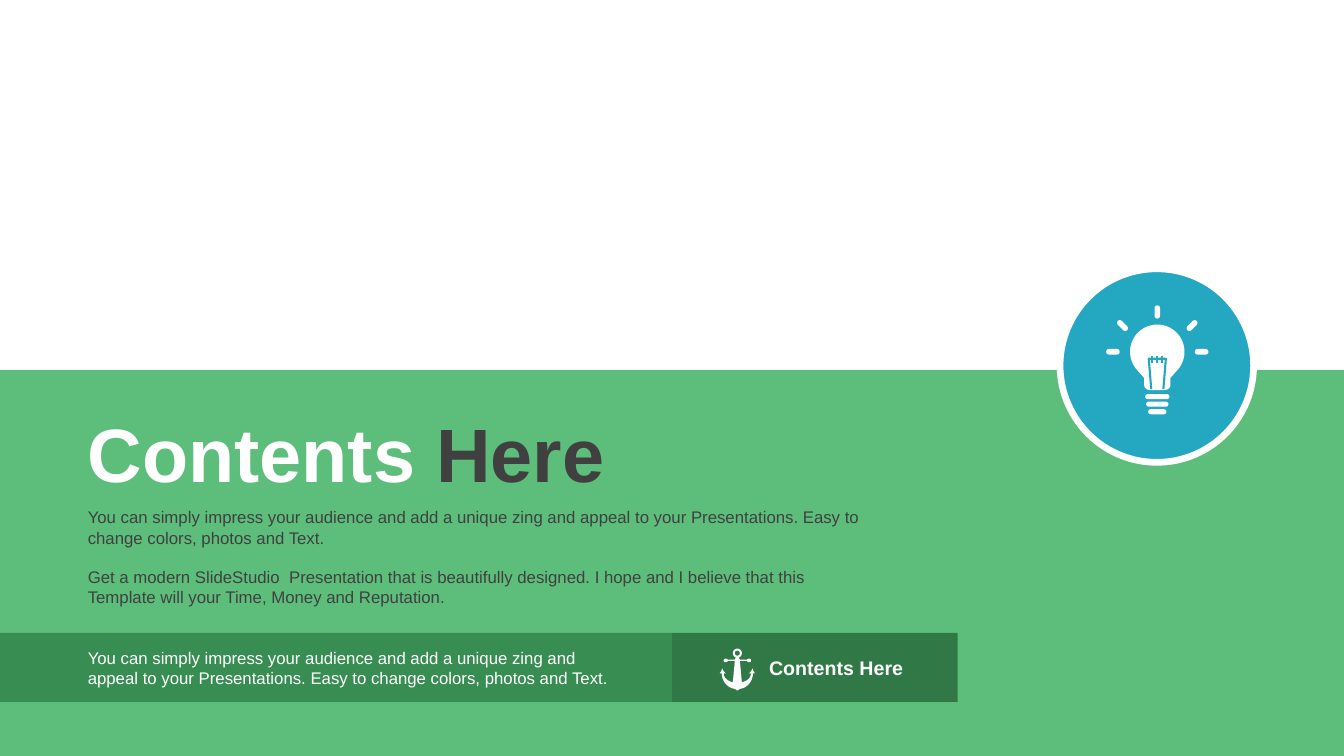
from dataclasses import dataclass
from math import cos, radians, sin

from lxml.etree import _Element as Element
from pptx import Presentation
from pptx.dml.color import RGBColor
from pptx.enum.shapes import MSO_SHAPE as Preset
from pptx.enum.text import MSO_ANCHOR as Anchor, MSO_AUTO_SIZE as AutoSize, PP_ALIGN as Align
from pptx.shapes.autoshape import Shape
from pptx.slide import Slide
from pptx.util import Emu, Pt

# Slide grid: 160 columns by 90 rows of square cells; icons use a finer unit
CELL = 76200
COLUMNS, ROWS = 160, 90
ICON_UNIT = CELL * 0.12
FINENESS = 100  # steps per icon unit, so that curves stay smooth
Point = tuple[float, float]


@dataclass(frozen=True)
class Theme:
    font: str = "Arial"
    white: str = "FFFFFF"
    ink: str = "404040"
    green: str = "5CBE7A"
    mid_green: str = "388D52"
    dark_green: str = "307947"
    blue: str = "24A8C2"
    title: float = 54
    label: float = 14
    body: float = 12
    paragraph_gap: float = 14
    badge_ring: float = 4.75
    filament: float = 1.5


THEME = Theme()


@dataclass(frozen=True)
class Box:
    left: float
    top: float
    width: float
    height: float

    def emu(self) -> tuple[Emu, ...]:
        return tuple(Emu(round(n * CELL)) for n in (self.left, self.top, self.width, self.height))


@dataclass(frozen=True)
class Panel:
    box: Box
    color: str
    preset: Preset = Preset.RECTANGLE
    ring: float = 0


@dataclass(frozen=True)
class Run:
    text: str
    color: str


@dataclass(frozen=True)
class Copy:
    box: Box
    paragraphs: list[list[Run]]
    size: float
    bold: bool = False


@dataclass(frozen=True)
class Pill:
    """A round-ended bar centred at x, y; a circle when no longer than it is thick."""
    x: float
    y: float
    length: float
    thickness: float
    angle: float = 0

    def outline(self) -> list[Point]:
        radius, reach = self.thickness / 2, (self.length - self.thickness) / 2
        points = []
        for side, start in ((1, -90), (-1, 90)):
            center_x = self.x + side * reach * cos(radians(self.angle))
            center_y = self.y + side * reach * sin(radians(self.angle))
            for step in range(0, 181, 15):
                turn = radians(self.angle + start + step)
                points.append((center_x + radius * cos(turn), center_y + radius * sin(turn)))
        return points


def paint(shape: Shape, color: str) -> None:
    shape.shadow.inherit = False
    shape.fill.solid()
    shape.fill.fore_color.rgb = RGBColor.from_string(color)
    shape.line.fill.background()


def draw_panel(slide: Slide, panel: Panel) -> None:
    shape = slide.shapes.add_shape(panel.preset, *panel.box.emu())
    paint(shape, panel.color)
    if panel.ring:
        shape.line.color.rgb = RGBColor.from_string(THEME.white)
        shape.line.width = Pt(panel.ring)


def write_copy(shape: Shape, copy: Copy) -> None:
    shape.left, shape.top, shape.width, shape.height = copy.box.emu()
    frame = shape.text_frame
    frame_format = {"word_wrap": True, "vertical_anchor": Anchor.TOP,
                    "auto_size": AutoSize.SHAPE_TO_FIT_TEXT}
    for name, value in frame_format.items():
        setattr(frame, name, value)
    run_format = {"name": THEME.font, "size": Pt(copy.size), "bold": copy.bold}
    for index, runs in enumerate(copy.paragraphs):
        paragraph = frame.add_paragraph() if index else frame.paragraphs[0]
        paragraph.alignment = Align.LEFT
        paragraph.space_before = Pt(THEME.paragraph_gap if index else 0)
        for part in runs:
            run = paragraph.add_run()
            run.text = part.text
            run.font.color.rgb = RGBColor.from_string(part.color)
            for name, value in run_format.items():
                setattr(run.font, name, value)


def draw_paths(slide: Slide, center: Point, paths: list[list[Point]], closed: bool = True) -> Shape:
    fine = [[(x * FINENESS, y * FINENESS) for x, y in path] for path in paths]
    builder = slide.shapes.build_freeform(*fine[0][0], scale=ICON_UNIT / FINENESS)
    for index, path in enumerate(fine):
        if index:
            builder.move_to(*path[0])
        builder.add_line_segments(path[1:], close=closed)
    shape = builder.convert_to_shape(*(Emu(round(n * CELL)) for n in center))
    paint(shape, THEME.white)
    return shape


def flatten(steps: list[tuple[Point, ...]], samples: int = 8) -> list[Point]:
    """One point is a line step; three points are a cubic curve step."""
    points: list[Point] = []
    for step in steps:
        if len(step) == 1:
            points.append(step[0])
            continue
        curve = (points[-1], *step)
        for n in range(1, samples + 1):
            t = n / samples
            weights = ((1 - t) ** 3, 3 * t * (1 - t) ** 2, 3 * t * t * (1 - t), t ** 3)
            points.append(tuple(sum(w * p[axis] for w, p in zip(weights, curve)) for axis in (0, 1)))
    return points


def mirror(half: list[Point]) -> list[Point]:
    return half + [(-x, y) for x, y in reversed(half)]


# Content
PITCH = ("You can simply impress your audience and add a unique zing and appeal to your "
         "Presentations. Easy to change colors, photos and Text.")
PROMISE = ("Get a modern SlideStudio  Presentation that is beautifully designed. I hope and I believe "
           "that this Template will your Time, Money and Reputation.")
HEADING = Copy(Box(9.25, 47.88, 78, 12.12),
               [[Run("Contents", THEME.white), Run(" Here", THEME.ink)]], THEME.title, True)
TEXTS = [
    Copy(Box(9.27, 59.78, 95.6, 13.32),
         [[Run(PITCH, THEME.ink)], [Run(PROMISE, THEME.ink)]], THEME.body),
    Copy(Box(9.27, 76.48, 67.08, 6), [[Run(PITCH, THEME.white)]], THEME.body),
    Copy(Box(90.38, 77.52, 23.64, 4.08), [[Run("Contents Here", THEME.white)]], THEME.label, True),
]
PANELS = [
    Panel(Box(0, 44.04, COLUMNS, ROWS - 44.04), THEME.green),
    Panel(Box(126.2, 32, 23.04, 23.04), THEME.blue, Preset.OVAL, THEME.badge_ring),
    Panel(Box(80, 75.36, 34, 8.2), THEME.dark_green),
    Panel(Box(0, 75.36, 80, 8.2), THEME.mid_green),
]

# Light bulb, around the centre of its glass
BULB_CENTER = (137.78, 41.88)
GLASS = [(27 * cos(radians(a)), 27 * sin(radians(a))) for a in range(-90, 46, 5)]
NECK = flatten([((13, 26),), ((13, 33),), ((13, 36), (10, 38), (7, 38))])
FILAMENT = [[(-6, 37), (-8.5, 7), (8.5, 7), (6, 37)]] + [[(x, 4), (x, 11)] for x in (-5, 0, 5)]
RAYS = [Pill(0, -39.5, 13, 5.5, 90)] + [
    ray for side in (-1, 1)
    for ray in (Pill(side * 44, 0, 13.5, 5.5), Pill(side * 34.5, -26, 13, 5.5, side * -45))]
SCREW = [Pill(0, 44.5 + 7.5 * n, length, 5) for n, length in enumerate((24, 22, 18))]

# Anchor, around the top of its ring
ANCHOR_CENTER = (87.78, 77.16)
ANCHOR_RING = [Pill(0, 5, 9, 9), Pill(0, 5, 5, 5)]
ANCHOR_HALF = flatten([
    ((1.5, 9.2),), ((2.5, 11.5),), ((9.5, 11.5),),
    ((10, 11), (10.5, 10.5), (11.5, 10.5)), ((13, 10.5), (13.5, 11), (13.5, 12.2)),
    ((13.5, 13.5), (13, 14), (11.5, 14)), ((10.5, 14), (10, 13.5), (9.5, 12.8)),
    ((2.5, 12.8),), ((4.5, 34),), ((9.5, 32.5), (13.5, 30), (13.5, 25)), ((11.5, 25),),
    ((13, 24), (14.5, 22), (15, 20)), ((15.5, 22), (16.5, 24), (17.5, 25)), ((15.5, 25),),
    ((15.5, 32), (10.5, 39.5), (2.5, 40.5)), ((1.5, 41), (0.5, 42), (0, 42)),
])


def main() -> None:
    deck = Presentation()
    deck.slide_width, deck.slide_height = Emu(COLUMNS * CELL), Emu(ROWS * CELL)
    slide = deck.slides.add_slide(deck.slide_layouts[5])

    # Coloured panels, kept behind the title
    for panel in PANELS:
        draw_panel(slide, panel)
    title = slide.shapes.title
    tree: Element = title.element.getparent()
    tree.append(title.element)

    # Texts
    write_copy(title, HEADING)
    for copy in TEXTS:
        write_copy(slide.shapes.add_textbox(*copy.box.emu()), copy)

    # Icons: light bulb with its filament, and anchor
    draw_paths(slide, BULB_CENTER, [mirror(GLASS + NECK)] + [bar.outline() for bar in RAYS + SCREW])
    filament = draw_paths(slide, BULB_CENTER, FILAMENT, closed=False)
    filament.fill.background()
    filament.line.color.rgb = RGBColor.from_string(THEME.blue)
    filament.line.width = Pt(THEME.filament)
    draw_paths(slide, ANCHOR_CENTER, [mirror(ANCHOR_HALF)] + [ring.outline() for ring in ANCHOR_RING])

    deck.save("out.pptx")


if __name__ == "__main__":
    main()
